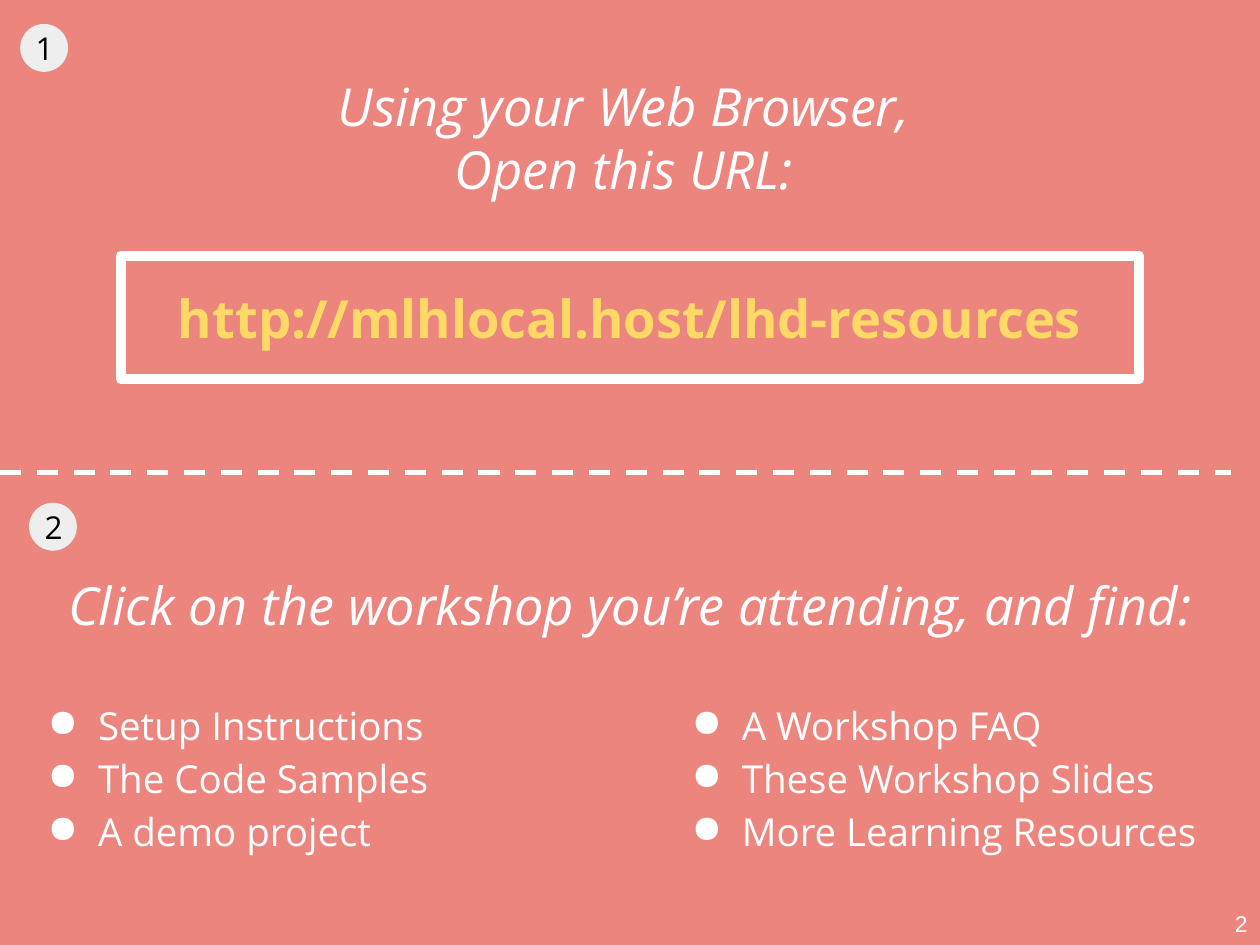
from dataclasses import dataclass

from lxml import etree
from pptx import Presentation
from pptx.dml.color import RGBColor
from pptx.enum.dml import MSO_LINE
from pptx.enum.shapes import MSO_CONNECTOR, MSO_SHAPE
from pptx.enum.text import MSO_ANCHOR, PP_ALIGN
from pptx.oxml.ns import qn
from pptx.util import Inches, Pt

RECTANGLE = MSO_SHAPE.RECTANGLE
OVAL = MSO_SHAPE.OVAL
STRAIGHT = MSO_CONNECTOR.STRAIGHT
DASH = MSO_LINE.DASH
TOP = MSO_ANCHOR.TOP
MIDDLE = MSO_ANCHOR.MIDDLE
LEFT = PP_ALIGN.LEFT
CENTER = PP_ALIGN.CENTER
RIGHT = PP_ALIGN.RIGHT


@dataclass(frozen=True)
class Theme:
    coral: str = "ED857F"
    white: str = "FFFFFF"
    yellow: str = "FFD966"
    badge: str = "EEEEEE"
    black: str = "000000"
    font: str = "Open Sans"
    number_font: str = "Arial"
    heading_size: int = 30
    list_size: int = 22
    badge_size: int = 18
    number_size: int = 13


class SlideBuilder:
    def __init__(self, slide, theme):
        self.slide = slide
        self.theme = theme
        background = slide.background.fill
        background.solid()
        background.fore_color.rgb = RGBColor.from_string(theme.coral)

    def fill_text(self, shape, lines, size, color, align=CENTER, anchor=MIDDLE,
                  font=None, bold=False, italic=False, bullets=False):
        frame = shape.text_frame
        frame.word_wrap = True
        frame.vertical_anchor = anchor
        frame.margin_left = frame.margin_right = Inches(0.1)
        frame.margin_top = frame.margin_bottom = Inches(0.1)
        for index, line in enumerate(lines):
            paragraph = frame.add_paragraph() if index else frame.paragraphs[0]
            paragraph.alignment = align
            if bullets:
                paragraph.line_spacing = 1.15
                self.add_bullet(paragraph)
            run = paragraph.add_run()
            run.text = line
            run.font.name = font or self.theme.font
            run.font.size = Pt(size)
            run.font.bold = bold
            run.font.italic = italic
            run.font.color.rgb = RGBColor.from_string(color)

    def add_bullet(self, paragraph):
        properties = paragraph._p.get_or_add_pPr()
        properties.set("marL", str(Inches(0.5)))
        properties.set("indent", str(Inches(-0.4)))
        color = etree.SubElement(properties, qn("a:buClr"))
        etree.SubElement(color, qn("a:srgbClr"), val=self.theme.white)
        etree.SubElement(properties, qn("a:buChar"), char="●")

    def text(self, left, top, width, height, lines, size, color, **style):
        box = self.slide.shapes.add_textbox(
            Inches(left), Inches(top), Inches(width), Inches(height))
        self.fill_text(box, lines, size, color, **style)

    def shape(self, kind, left, top, width, height, fill):
        shape = self.slide.shapes.add_shape(
            kind, Inches(left), Inches(top), Inches(width), Inches(height))
        shape.shadow.inherit = False
        shape.fill.solid()
        shape.fill.fore_color.rgb = RGBColor.from_string(fill)
        shape.line.fill.background()
        return shape

    def heading(self, top, lines):
        self.text(0.18, top, 9.65, 0.92, lines, self.theme.heading_size,
                  self.theme.white, italic=True)

    def bullet_list(self, left, lines):
        self.text(left, 5.24, 4.54, 1.82, lines, self.theme.list_size,
                  self.theme.white, align=LEFT, bullets=True)

    def address_frame(self, address):
        frame = self.shape(RECTANGLE, 0.96, 2.03, 8.08, 0.98, self.theme.coral)
        frame.line.color.rgb = RGBColor.from_string(self.theme.white)
        frame.line.width = Pt(6)
        self.fill_text(frame, [address], self.theme.heading_size,
                       self.theme.yellow, bold=True)

    def divider(self, top, right):
        line = self.slide.shapes.add_connector(
            STRAIGHT, Inches(0), Inches(top), Inches(right), Inches(top))
        line.line.color.rgb = RGBColor.from_string(self.theme.white)
        line.line.width = Pt(3)
        line.line.dash_style = DASH
        etree.SubElement(line._element.spPr, qn("a:effectLst"))

    def step_badge(self, left, top, number):
        self.shape(OVAL, left, top, 0.38, 0.38, self.theme.badge)
        self.text(left - 0.05, top - 0.06, 0.49, 0.5, [number],
                  self.theme.badge_size, self.theme.black)

    def slide_number(self, number):
        self.text(9.4, 7.12, 0.6, 0.38, [number], self.theme.number_size,
                  self.theme.white, align=RIGHT, anchor=TOP,
                  font=self.theme.number_font)


def main():
    presentation = Presentation()
    presentation.slide_width = Inches(10)
    presentation.slide_height = Inches(7.5)
    slide = presentation.slides.add_slide(presentation.slide_layouts[6])
    builder = SlideBuilder(slide, Theme())

    builder.slide_number("2")
    builder.heading(0.63, ["Using your Web Browser, ", "Open this URL: "])
    builder.address_frame("http://mlhlocal.host/lhd-resources")
    builder.divider(3.75, 9.77)
    builder.heading(4.34, ["Click on the workshop you’re attending, and find:"])
    builder.bullet_list(
        0.18, ["Setup Instructions", "The Code Samples", "A demo project"])
    builder.bullet_list(
        5.29, ["A Workshop FAQ", "These Workshop Slides", "More Learning Resources"])
    builder.step_badge(0.16, 0.19, "1")
    builder.step_badge(0.23, 3.99, "2")

    presentation.save("out.pptx")


if __name__ == "__main__":
    main()
